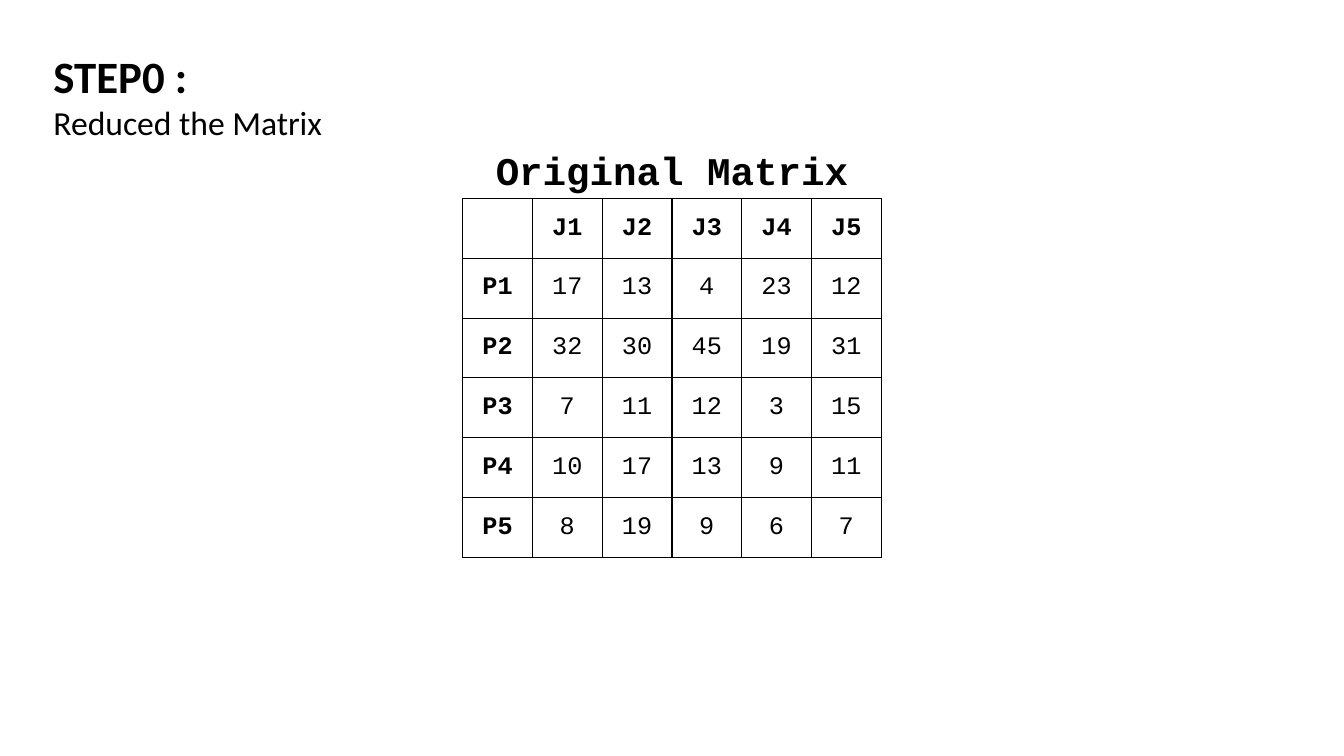
import lxml.etree
import pptx
import pptx.dml.color
import pptx.enum.text
import pptx.oxml.ns
import pptx.util

STEP_LINES = [("STEP0 :", 32, True), ("Reduced the Matrix", 24, False)]
MATRIX_CAPTION = "Original Matrix"
JOBS = ["J1", "J2", "J3", "J4", "J5"]
COSTS = {
    "P1": [17, 13, 4, 23, 12],
    "P2": [32, 30, 45, 19, 31],
    "P3": [7, 11, 12, 3, 15],
    "P4": [10, 17, 13, 9, 11],
    "P5": [8, 19, 9, 6, 7],
}

BLACK = pptx.dml.color.RGBColor(0, 0, 0)
WHITE = pptx.dml.color.RGBColor(255, 255, 255)
BODY_FONT, MATRIX_FONT = "Calibri", "Courier New"
Inches, Pt = pptx.util.Inches, pptx.util.Pt
ALIGN = pptx.enum.text.PP_ALIGN
ANCHOR = pptx.enum.text.MSO_ANCHOR
FIT = pptx.enum.text.MSO_AUTO_SIZE

SLIDE_W, SLIDE_H = Inches(13.33), Inches(7.5)
MARGIN = Inches(0.43)
COLUMN, ROW = Inches(0.692), Inches(0.593)
CAPTION_H = Inches(0.57)
MATRIX_TOP = Inches(1.97)
BORDER = Pt(1)


def write(paragraph, text, font, size, bold, align):
    paragraph.text = text
    paragraph.alignment = align
    for run in paragraph.runs:
        run.font.name = font
        run.font.size = Pt(size)
        run.font.bold = bold
        run.font.color.rgb = BLACK


def add_borders(cell):
    properties = cell._tc.get_or_add_tcPr()
    for side in ("a:lnL", "a:lnR", "a:lnT", "a:lnB"):
        line = lxml.etree.SubElement(properties, pptx.oxml.ns.qn(side), w=str(BORDER))
        fill = lxml.etree.SubElement(line, pptx.oxml.ns.qn("a:solidFill"))
        lxml.etree.SubElement(fill, pptx.oxml.ns.qn("a:srgbClr"), val=str(BLACK))


def add_step(slide):
    step = slide.shapes.title
    step.left, step.top = MARGIN, MARGIN
    step.width, step.height = Inches(2.96), Inches(1.04)
    frame = step.text_frame
    frame.word_wrap = False
    frame.auto_size = FIT.SHAPE_TO_FIT_TEXT
    frame.vertical_anchor = ANCHOR.TOP
    frame.text = "\n".join(text for text, _, _ in STEP_LINES)
    for paragraph, (text, size, bold) in zip(frame.paragraphs, STEP_LINES):
        write(paragraph, text, BODY_FONT, size, bold, ALIGN.LEFT)
        paragraph.space_before = Pt(0)


def add_matrix(slide):
    rows = [["", *JOBS]] + [[person, *costs] for person, costs in COSTS.items()]
    width, height = COLUMN * len(rows[0]), ROW * len(rows)
    left = (SLIDE_W - width) // 2

    matrix = slide.shapes.add_table(
        len(rows), len(rows[0]), left, MATRIX_TOP, width, height).table
    for column in matrix.columns:
        column.width = COLUMN
    for r, values in enumerate(rows):
        matrix.rows[r].height = ROW
        for c, value in enumerate(values):
            cell = matrix.cell(r, c)
            add_borders(cell)
            cell.fill.solid()
            cell.fill.fore_color.rgb = WHITE
            cell.vertical_anchor = ANCHOR.MIDDLE
            write(cell.text_frame.paragraphs[0], str(value), MATRIX_FONT, 18,
                  r == 0 or c == 0, ALIGN.CENTER)

    caption = slide.shapes.add_textbox(left, MATRIX_TOP - CAPTION_H, width, CAPTION_H)
    caption.text_frame.word_wrap = True
    caption.text_frame.auto_size = FIT.SHAPE_TO_FIT_TEXT
    write(caption.text_frame.paragraphs[0], MATRIX_CAPTION, MATRIX_FONT, 28, True,
          ALIGN.CENTER)


def main():
    deck = pptx.Presentation()
    deck.slide_width, deck.slide_height = SLIDE_W, SLIDE_H
    slide = deck.slides.add_slide(deck.slide_layouts[5])
    slide.background.fill.solid()
    slide.background.fill.fore_color.rgb = WHITE
    add_step(slide)
    add_matrix(slide)
    deck.save("out.pptx")


if __name__ == "__main__":
    main()
